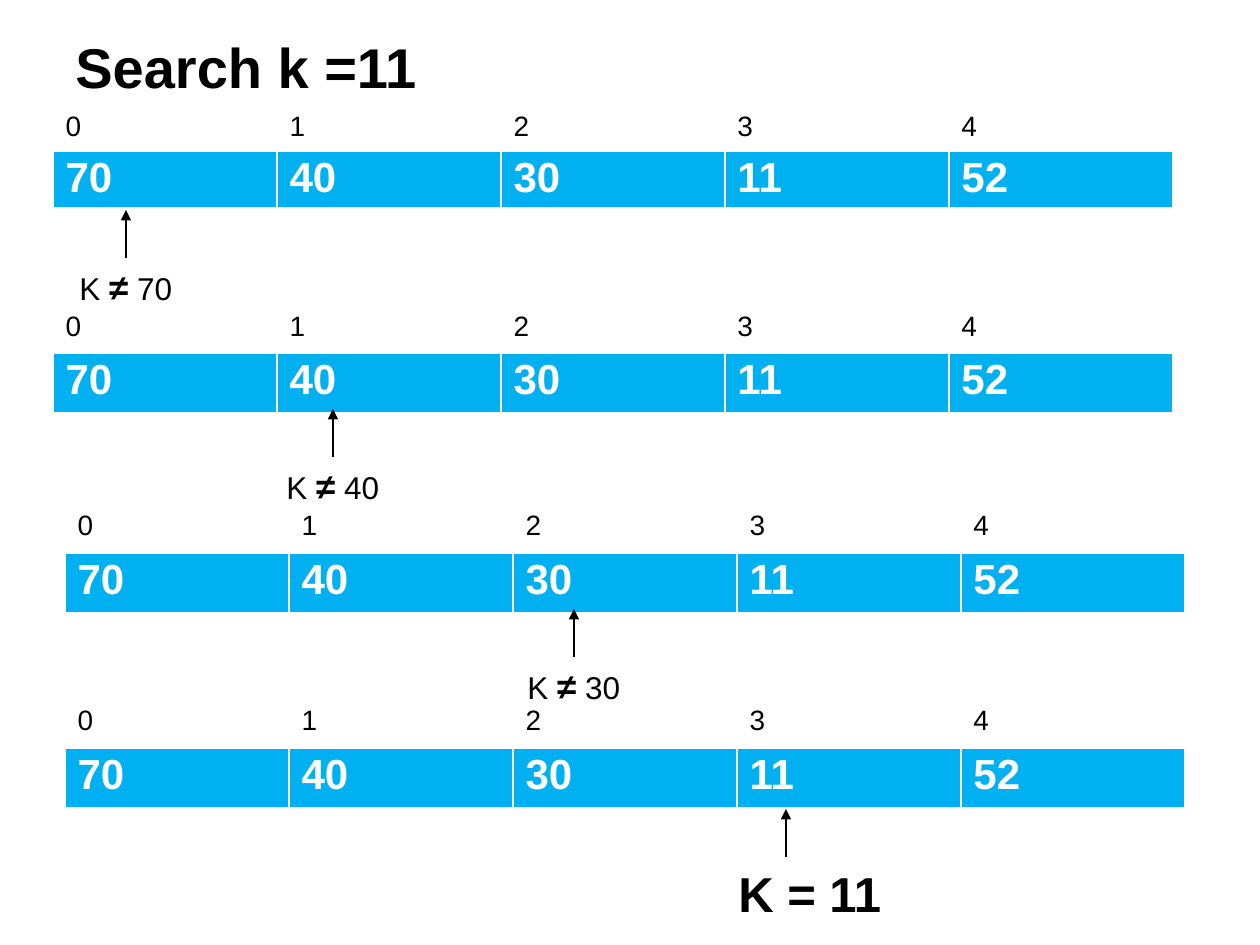
from lxml import etree
from pptx import Presentation
from pptx.dml.color import RGBColor
from pptx.enum.shapes import MSO_CONNECTOR
from pptx.enum.text import MSO_ANCHOR
from pptx.oxml.ns import qn
from pptx.util import Emu, Pt

STRAIGHT = MSO_CONNECTOR.STRAIGHT
MIDDLE = MSO_ANCHOR.MIDDLE
PX = 914400 // 126
COLORS = {"black": "000000", "white": "FFFFFF", "blue": "00B0F0"}
VALUES = ["70", "40", "30", "11", "52"]
COL_W = 224


def add_run(p, text, size, bold=False, color="black"):
    r = p.add_run()
    r.text = text
    r.font.name = "Arial"
    r.font.size = Pt(size)
    r.font.bold = bold
    r.font.color.rgb = RGBColor.from_string(COLORS[color])


def add_text(s, x, y, w, h, runs, wrap=False):
    """Add a one-line text box; each run is (text, size, bold)."""
    tf = s.shapes.add_textbox(x * PX, y * PX, w * PX, h * PX).text_frame
    tf.word_wrap = wrap
    for run in runs:
        add_run(tf.paragraphs[0], *run)
    return tf


prs = Presentation()
prs.slide_width = Emu(1260 * PX)
prs.slide_height = Emu(945 * PX)
s = prs.slides.add_slide(prs.slide_layouts[6])

title = add_text(s, 63, 26, 471, 81, [("Search k =11", 32, True)], wrap=True)
title.vertical_anchor = MIDDLE

# Left, top, index row height, value row height
tables = [(53, 105, 46, 57), (53, 305, 48, 60), (65, 504, 49, 60), (65, 699, 49, 60)]

for left, top, index_h, value_h in tables:
    table = s.shapes.add_table(2, len(VALUES), left * PX, top * PX,
                               COL_W * len(VALUES) * PX,
                               (index_h + value_h) * PX).table
    table.first_row = False
    table.horz_banding = False
    table.rows[0].height = Emu(index_h * PX)
    table.rows[1].height = Emu(value_h * PX)
    for col, value in enumerate(VALUES):
        table.columns[col].width = Emu(COL_W * PX)
        index_cell, value_cell = table.cell(0, col), table.cell(1, col)
        index_cell.fill.background()
        value_cell.fill.solid()
        value_cell.fill.fore_color.rgb = RGBColor.from_string(COLORS["blue"])
        value_cell.margin_top = Emu(4 * PX)
        add_run(index_cell.text_frame.paragraphs[0], str(col), 16)
        add_run(value_cell.text_frame.paragraphs[0], value, 24, True, "white")
        for cell in (index_cell, value_cell):
            cell.margin_bottom = 0
            tc_pr = cell._tc.get_or_add_tcPr()
            for n, side in enumerate(("lnL", "lnR", "lnT", "lnB")):
                ln = etree.Element(qn(f"a:{side}"), w=str(Pt(1)))
                fill = etree.SubElement(ln, qn("a:solidFill"))
                etree.SubElement(fill, qn("a:srgbClr"), val=COLORS["white"])
                tc_pr.insert(n, ln)

# Arrows and labels come after all tables, so that no table border covers them
arrow_tips = [(126, 210), (333, 409), (574, 609), (786, 809)]

for value, (x, y) in zip(VALUES, arrow_tips):
    arrow = s.shapes.add_connector(STRAIGHT, x * PX, (y + 48) * PX, x * PX, y * PX)
    arrow.line.color.rgb = RGBColor.from_string(COLORS["black"])
    arrow.line.width = Pt(1.5)
    etree.SubElement(arrow.line._get_or_add_ln(), qn("a:tailEnd"), type="triangle")
    etree.SubElement(arrow._element.spPr, qn("a:effectLst"))

    if value == "11":
        add_text(s, x - 60, y + 48, 168, 72, [("K = 11", 28, True)])
    else:
        add_text(s, x - 59, y + 49, 120, 55,
                 [("K ", 18), ("≠", 20, True), (f" {value}", 18)])

prs.save("out.pptx")
